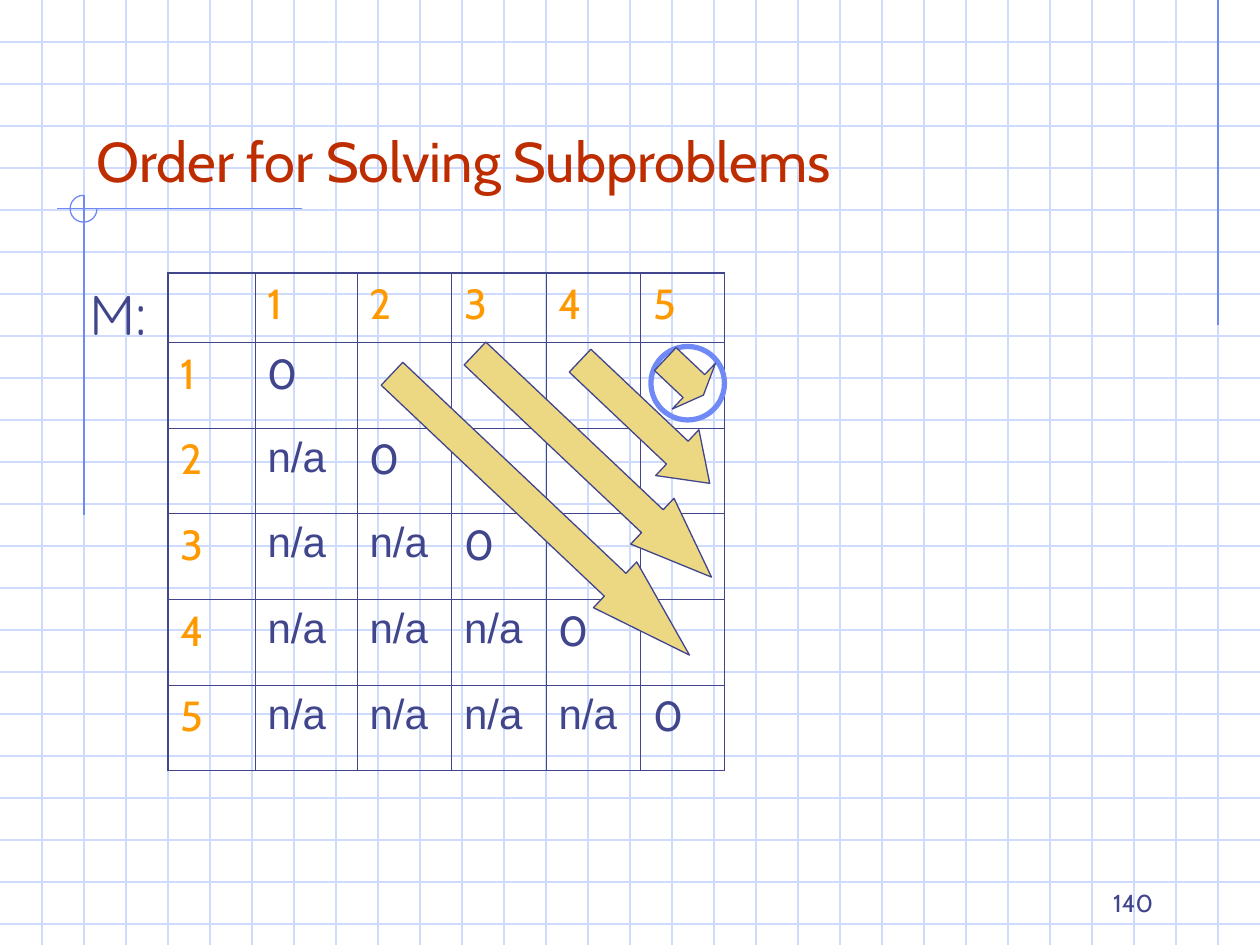
from lxml import etree
from pptx import Presentation
from pptx.dml.color import RGBColor
from pptx.enum.shapes import MSO_CONNECTOR, MSO_SHAPE
from pptx.enum.text import MSO_ANCHOR, PP_ALIGN
from pptx.oxml.ns import qn
from pptx.util import Inches, Pt

STRAIGHT = MSO_CONNECTOR.STRAIGHT
ARC, ELLIPSE, ARROW = MSO_SHAPE.ARC, MSO_SHAPE.OVAL, MSO_SHAPE.RIGHT_ARROW
TOP, BOTTOM = MSO_ANCHOR.TOP, MSO_ANCHOR.BOTTOM
LEFT, RIGHT = PP_ALIGN.LEFT, PP_ALIGN.RIGHT

# The graph paper has three squares to the inch; all lengths are in squares
COLUMNS, ROWS = 30, 22.5
GRID, BLUE, NAVY = "CFDBFD", "6F89F7", "40458C"
RED, ORANGE, SAND = "BE2D00", "FF9900", "ECD882"
BODY, LABEL, PLAIN = "Cabin", "Quicksand", "Arial"


def squares(count):
    return Inches(count / 3)


def color(hex_code):
    return RGBColor.from_string(hex_code)


class GraphPaper:
    """Style and current slide, with one method for each kind of element."""

    thin, thick = 0.45, 1.08

    def __init__(self, slide):
        self.slide = slide
        self.shapes = slide.shapes

    def add_words(self, frame, text, size, font, ink, align=LEFT):
        paragraph = frame.paragraphs[0]
        paragraph.alignment = align
        run = paragraph.add_run()
        run.text = text
        for name, value in {"size": Pt(size), "name": font}.items():
            setattr(run.font, name, value)
        run.font.color.rgb = color(ink)

    def text(self, box, text, size, font, ink, align=LEFT, anchor=TOP, wrap=True):
        frame = self.shapes.add_textbox(*map(squares, box)).text_frame
        for name, value in {"word_wrap": wrap, "vertical_anchor": anchor}.items():
            setattr(frame, name, value)
        self.add_words(frame, text, size, font, ink, align)

    def line(self, x1, y1, x2, y2, ink):
        rule = self.shapes.add_connector(STRAIGHT, *map(squares, (x1, y1, x2, y2)))
        rule.line.color.rgb = color(ink)
        rule.line.width = Pt(0.75)
        etree.SubElement(rule._element.spPr, qn("a:effectLst"))

    def shape(self, kind, box, ink, width=0.75, fill=None, turn=0, adjust=()):
        shape = self.shapes.add_shape(kind, *map(squares, box))
        shape.shadow.inherit = False
        shape.rotation = turn
        for index, value in enumerate(adjust):
            shape.adjustments[index] = value
        if fill:
            shape.fill.solid()
            shape.fill.fore_color.rgb = color(fill)
        else:
            shape.fill.background()
        shape.line.color.rgb = color(ink)
        shape.line.width = Pt(width)

    def arrow(self, left, top, length, height=1.5):
        # The head takes a quarter of the arrow's length
        head = length / 4 / min(length, height)
        self.shape(ARROW, (left, top, length, height), NAVY, fill=SAND,
                   turn=43.4, adjust=(0.5, head))

    def borders(self, cell, outer):
        properties = cell._tc.get_or_add_tcPr()
        for side in "LRTB":
            width = self.thick if side in outer else self.thin
            edge = etree.SubElement(properties, qn(f"a:ln{side}"), w=str(int(Pt(width))))
            fill = etree.SubElement(edge, qn("a:solidFill"))
            etree.SubElement(fill, qn("a:srgbClr"), val=NAVY)

    def table(self, left, top, widths, heights, entry):
        box = (left, top, sum(widths), sum(heights))
        table = self.shapes.add_table(len(heights), len(widths),
                                      *map(squares, box)).table
        for name in ("first_row", "horz_banding"):
            setattr(table, name, False)
        for column, width in zip(table.columns, widths):
            column.width = squares(width)
        for row, height in zip(table.rows, heights):
            row.height = squares(height)
        last_row, last_column = len(heights) - 1, len(widths) - 1
        for r in range(len(heights)):
            for c in range(len(widths)):
                cell = table.cell(r, c)
                at_edge = {"L": c == 0, "R": c == last_column,
                           "T": r == 0, "B": r == last_row}
                self.borders(cell, [side for side, hit in at_edge.items() if hit])
                cell.fill.background()
                content = entry(r, c)
                if content:
                    text, font, ink = content
                    self.add_words(cell.text_frame, text, 24, font, ink)


def subproblem(row, column):
    """Entry of M: headings, zeros on the diagonal, n/a below it."""
    if row == column == 0:
        return None
    if row == 0 or column == 0:
        return str(row + column), BODY, ORANGE
    if row == column:
        return "0", BODY, NAVY
    return ("n/a", PLAIN, NAVY) if row > column else None


def main():
    deck = Presentation()
    deck.slide_width, deck.slide_height = squares(COLUMNS), squares(ROWS)
    page = GraphPaper(deck.slides.add_slide(deck.slide_layouts[6]))

    # Graph paper
    for y in range(1, 23):
        page.line(0, y, COLUMNS, y, GRID)
    for x in range(1, COLUMNS):
        page.line(x, 0, x, ROWS, GRID)

    # Margin rules and the open circle where they cross
    for rule in ((29, 0, 29, 7.75), (7.2, 4.97, 1.35, 4.97), (2, 4.65, 2, 12.27)):
        page.line(*rule, BLUE)
    page.shape(ARC, (1.67, 4.65, 0.64, 0.64), BLUE, adjust=(0, 162))

    # Title
    page.text((2, 1, 25.5, 3.75), "Order for Solving Subproblems", 32, BODY, RED,
              anchor=BOTTOM)

    # Matrix M, with the final answer circled
    page.table(4, 6.5, [2.07, 2.43, 2.25, 2.25, 2.25, 2], [1.65] + [2.04] * 5,
               subproblem)
    page.shape(ELLIPSE, (15.5, 8.25, 1.75, 1.75), BLUE, width=3)
    page.text((1.83, 6.5, 2.16, 1.92), "M:", 32, LABEL, NAVY, wrap=False)

    # Diagonals in solving order
    for diagonal in ((8, 11.5, 9.75), (10.25, 10.33, 7.75),
                     (13.23, 9.3, 4.25), (15.67, 8.23, 1.25)):
        page.arrow(*diagonal)

    # Page number
    page.text((21.5, 20.5, 6.25, 1.5), "140", 14, BODY, NAVY, RIGHT, BOTTOM)

    deck.save("out.pptx")


if __name__ == "__main__":
    main()
